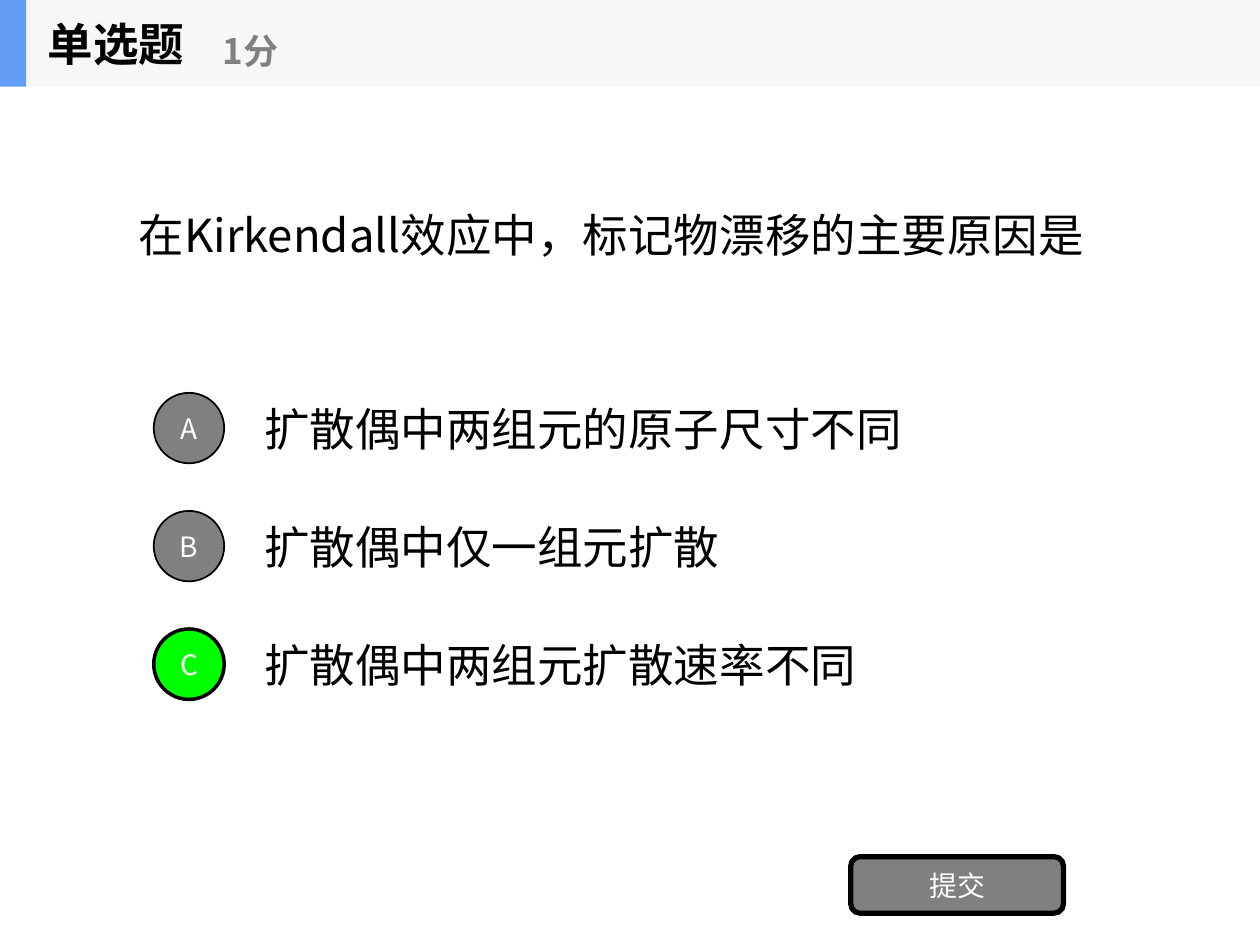
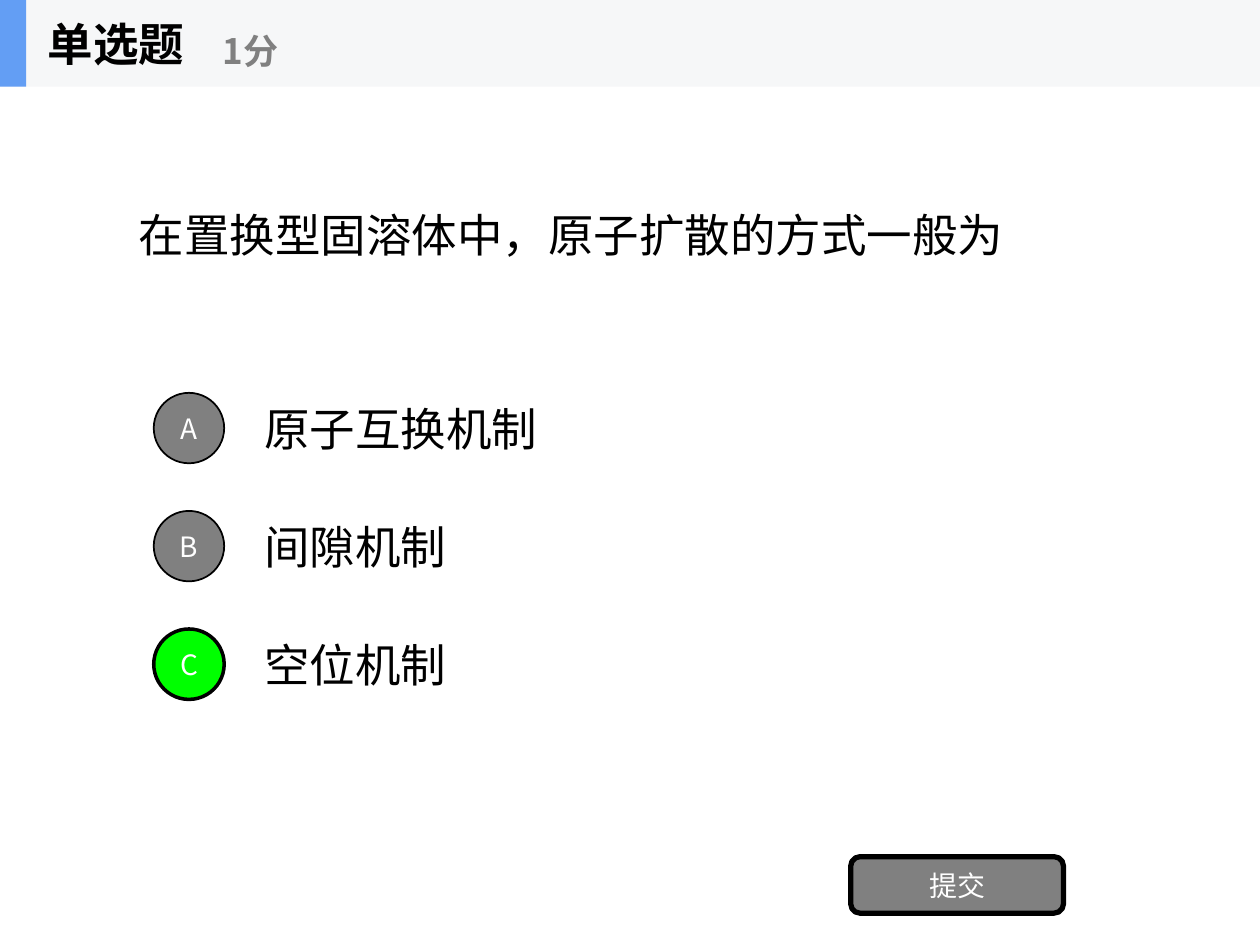
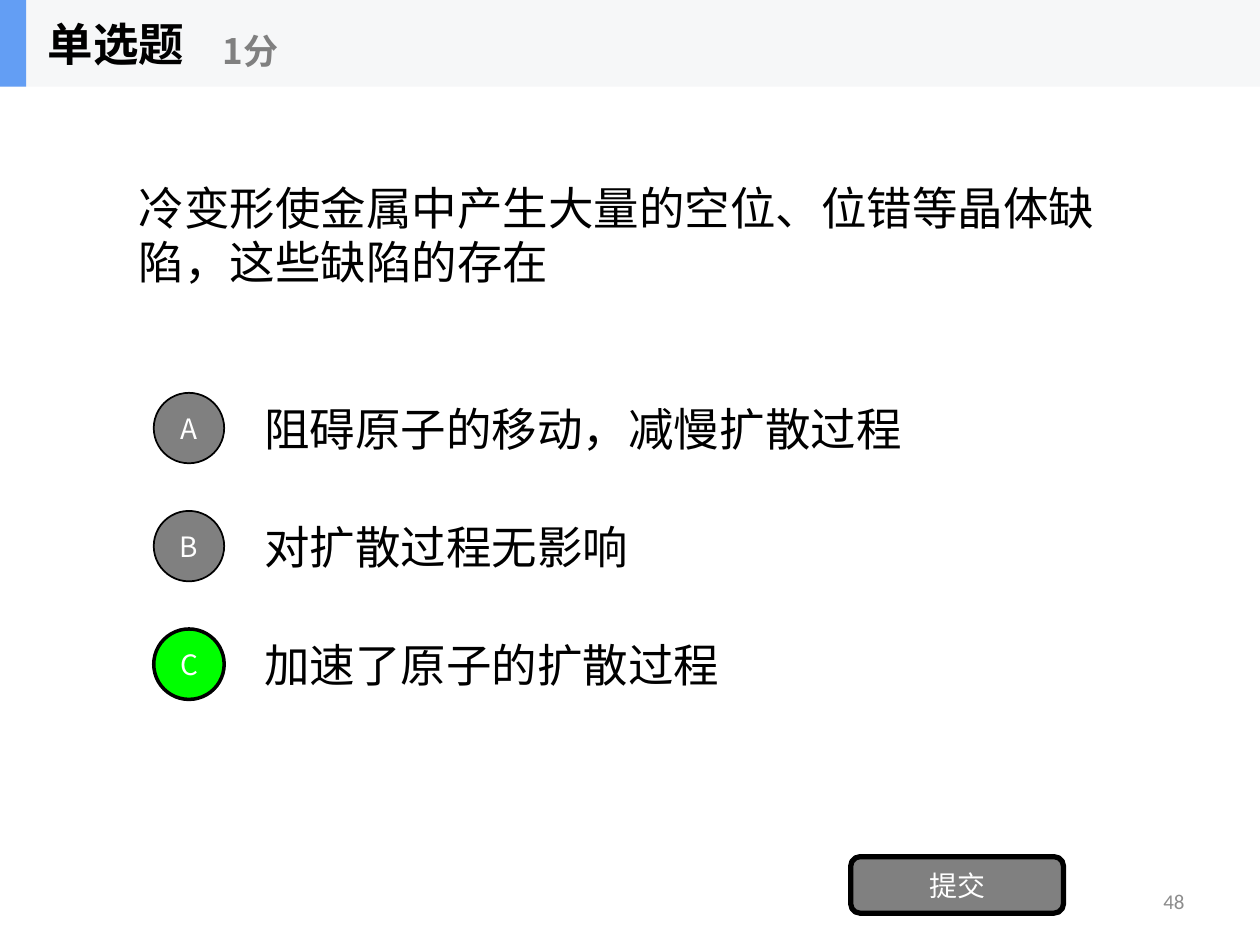
from dataclasses import dataclass

from lxml import etree
from pptx import Presentation
from pptx.dml.color import RGBColor
from pptx.enum import shapes, text
from pptx.oxml import ns
from pptx.util import Cm, Pt

# Content
HEADING, POINTS, SUBMIT = "单选题", "1分", "提交"
QUESTIONS = [
    {"question": "在Kirkendall效应中，标记物漂移的主要原因是",
     "options": ["扩散偶中两组元的原子尺寸不同", "扩散偶中仅一组元扩散", "扩散偶中两组元扩散速率不同"],
     "answer": "C"},
    {"question": "在置换型固溶体中，原子扩散的方式一般为",
     "options": ["原子互换机制", "间隙机制", "空位机制"],
     "answer": "C"},
    {"question": "冷变形使金属中产生大量的空位、位错等晶体缺陷，这些缺陷的存在",
     "options": ["阻碍原子的移动，减慢扩散过程", "对扩散过程无影响", "加速了原子的扩散过程"],
     "answer": "C", "page": "48"},
]


@dataclass(frozen=True)
class Theme:
    font: str = "Noto Sans CJK SC"
    page_font: str = "Calibri"
    ink: str = "000000"
    white: str = "FFFFFF"
    grey: str = "808080"
    correct: str = "00FF00"
    band: str = "F6F7F8"
    accent: str = "639EF4"
    page: str = "8C8C8C"
    body_size: int = 26
    points_size: int = 20
    button_size: int = 16
    page_size: int = 12


THEME = Theme()

# Layout in centimetres
SLIDE_W, SLIDE_H = 25.4, 19.05
BAND_H = 1.75
OPTION_TOP, OPTION_STEP, OPTION_H = 7.74, 2.38, 1.78
CIRCLE_LEFT, CIRCLE_SIZE = 3.1, 1.42


def write(shape, words, size, color, align=text.PP_ALIGN.LEFT, bold=False, font=THEME.font):
    frame = shape.text_frame
    frame.text = words
    frame.word_wrap = True
    frame.auto_size = text.MSO_AUTO_SIZE.NONE
    frame.vertical_anchor = text.MSO_ANCHOR.MIDDLE
    paragraph = frame.paragraphs[0]
    paragraph.alignment = align
    style = paragraph.font
    style.size, style.bold, style.name = Pt(size), bold, font
    style.color.rgb = RGBColor.from_string(color)
    # East Asian characters take their own typeface
    latin = paragraph._p.pPr.find(".//" + ns.qn("a:latin"))
    east_asian = etree.Element(ns.qn("a:ea"), typeface=font)
    latin.addnext(east_asian)


def add_label(parent, box, words, size, color, **style):
    label = parent.add_textbox(*map(Cm, box))
    write(label, words, size, color, **style)


def add_block(parent, kind, box, fill, border=0):
    block = parent.add_shape(kind, *map(Cm, box))
    block.shadow.inherit = False
    block.fill.solid()
    block.fill.fore_color.rgb = RGBColor.from_string(fill)
    if border:
        block.line.color.rgb = RGBColor.from_string(THEME.ink)
        block.line.width = Pt(border)
    else:
        block.line.fill.background()
    return block


def add_button(parent, kind, box, words, fill, border):
    button = add_block(parent, kind, box, fill, border)
    write(button, words, THEME.button_size, THEME.white, align=text.PP_ALIGN.CENTER)


def add_header(slide):
    header = slide.shapes.add_group_shape().shapes
    rectangle = shapes.MSO_SHAPE.RECTANGLE
    add_block(header, rectangle, (0, 0, SLIDE_W, BAND_H), THEME.band)
    add_block(header, rectangle, (0, 0, 0.53, BAND_H), THEME.accent)
    add_label(header, (0.71, 0, 5.28, BAND_H), HEADING, THEME.body_size, THEME.ink, bold=True)
    add_label(header, (4.24, 0.3, 6.35, 1.42), POINTS, THEME.points_size, THEME.grey, bold=True)


def add_options(slide, options, answer):
    for row, option in enumerate(options):
        letter = "ABCDEFGH"[row]
        top = OPTION_TOP + row * OPTION_STEP
        fill, border = (THEME.correct, 2) if letter == answer else (THEME.grey, 1)
        add_label(slide.shapes, (5.08, top, 17.78, OPTION_H), option, THEME.body_size, THEME.ink)
        circle_top = top + (OPTION_H - CIRCLE_SIZE) / 2
        add_button(slide.shapes, shapes.MSO_SHAPE.OVAL,
                   (CIRCLE_LEFT, circle_top, CIRCLE_SIZE, CIRCLE_SIZE), letter, fill, border)


def add_question(deck, item):
    slide = deck.slides.add_slide(deck.slide_layouts[5])
    # Question
    question = slide.shapes.title
    question.left, question.top, question.width, question.height = map(Cm, (2.54, BAND_H, 20.32, 5.94))
    write(question, item["question"], THEME.body_size, THEME.ink)
    # Answers and submit button
    add_options(slide, item["options"], item["answer"])
    add_button(slide.shapes, shapes.MSO_SHAPE.ROUNDED_RECTANGLE,
               (17.15, 17.27, 4.29, 1.14), SUBMIT, THEME.grey, 3)
    # Shared header and page number
    add_header(slide)
    if "page" in item:
        add_label(slide.shapes, (18.21, 17.65, 5.92, 1.02), item["page"], THEME.page_size,
                  THEME.page, align=text.PP_ALIGN.RIGHT, font=THEME.page_font)


def main():
    deck = Presentation()
    deck.slide_width, deck.slide_height = Cm(SLIDE_W), Cm(SLIDE_H)
    for item in QUESTIONS:
        add_question(deck, item)
    deck.save("out.pptx")


if __name__ == "__main__":
    main()
